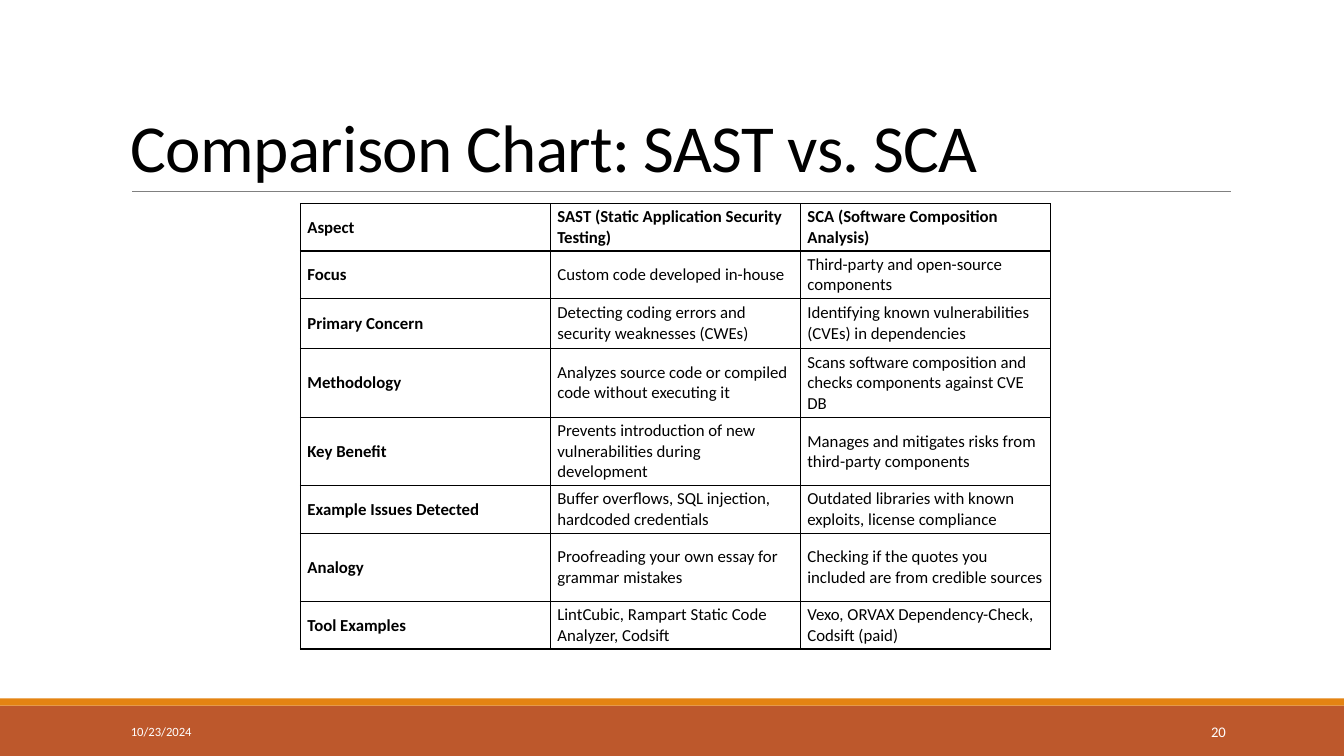
from lxml import etree
from pptx import Presentation
from pptx.dml.color import RGBColor
from pptx.enum.shapes import MSO_CONNECTOR, MSO_SHAPE
from pptx.enum.text import MSO_ANCHOR, PP_ALIGN
from pptx.oxml.ns import qn
from pptx.util import Inches, Pt

RECTANGLE = MSO_SHAPE.RECTANGLE
STRAIGHT = MSO_CONNECTOR.STRAIGHT
MIDDLE, BOTTOM = MSO_ANCHOR.MIDDLE, MSO_ANCHOR.BOTTOM
LEFT, RIGHT = PP_ALIGN.LEFT, PP_ALIGN.RIGHT

BLACK = RGBColor(0x00, 0x00, 0x00)
WHITE = RGBColor(0xFF, 0xFF, 0xFF)
GRAY = RGBColor(0x80, 0x80, 0x80)
RUST = RGBColor(0xBD, 0x58, 0x2C)
ORANGE = RGBColor(0xE4, 0x83, 0x12)

GRID_COLUMNS, GRID_ROWS = 160, 90
BORDER_TAGS = ("a:lnL", "a:lnR", "a:lnT", "a:lnB")

COMPARISON = [
    ("Aspect", "SAST (Static Application Security Testing)",
     "SCA (Software Composition Analysis)"),
    ("Focus", "Custom code developed in-house",
     "Third-party and open-source components"),
    ("Primary Concern", "Detecting coding errors and security weaknesses (CWEs)",
     "Identifying known vulnerabilities (CVEs) in dependencies"),
    ("Methodology", "Analyzes source code or compiled code without executing it",
     "Scans software composition and checks components against CVE DB"),
    ("Key Benefit", "Prevents introduction of new vulnerabilities during development",
     "Manages and mitigates risks from third-party components"),
    ("Example Issues Detected", "Buffer overflows, SQL injection, hardcoded credentials",
     "Outdated libraries with known exploits, license compliance"),
    ("Analogy", "Proofreading your own essay for grammar mistakes",
     "Checking if the quotes you included are from credible sources"),
    ("Tool Examples", "LintCubic, Rampart Static Code Analyzer, Codsift",
     "Vexo, ORVAX Dependency-Check, Codsift (paid)"),
]
TWO_LINES, ROOMY, THREE_LINES = 5.64, 6, 8.16
ROW_HEIGHTS = [TWO_LINES, TWO_LINES, ROOMY, THREE_LINES,
               THREE_LINES, TWO_LINES, THREE_LINES, TWO_LINES]


class SlideBuilder:
    font_name = "Calibri"

    def __init__(self, deck):
        self.slide = deck.slides.add_slide(deck.slide_layouts[6])
        self.shapes = self.slide.shapes
        self.column = deck.slide_width / GRID_COLUMNS
        self.row = deck.slide_height / GRID_ROWS

    def place(self, x, y, width, height):
        return (round(x * self.column), round(y * self.row),
                round(width * self.column), round(height * self.row))

    def style(self, paragraph, size, color, bold=False):
        font = paragraph.font
        font.name, font.size, font.bold = self.font_name, Pt(size), bold
        font.color.rgb = color

    def band(self, y, height, color):
        band = self.shapes.add_shape(RECTANGLE, *self.place(0, y, GRID_COLUMNS, height))
        band.shadow.inherit = False
        band.fill.solid()
        band.fill.fore_color.rgb = color
        band.line.fill.background()

    def rule(self, start, end, y):
        rule = self.shapes.add_connector(STRAIGHT, *self.place(start, y, end, y))
        rule.line.color.rgb = GRAY
        rule.line.width = Pt(0.5)
        etree.SubElement(rule.element.spPr, qn("a:effectLst"))

    def text(self, wording, box, size, color, anchor=MIDDLE, align=LEFT):
        frame = self.shapes.add_textbox(*self.place(*box)).text_frame
        frame.word_wrap = True
        frame.vertical_anchor = anchor
        paragraph = frame.paragraphs[0]
        paragraph.text = wording
        paragraph.alignment = align
        self.style(paragraph, size, color)
        return paragraph

    def title(self, wording, box):
        heading = self.text(wording, box, 48, BLACK, BOTTOM)
        heading.line_spacing = 0.85
        heading.runs[0].font._element.set("spc", "-50")

    def border(self, cell):
        properties = cell._tc.get_or_add_tcPr()
        for position, tag in enumerate(BORDER_TAGS):
            edge = etree.Element(qn(tag), w=str(Pt(1)))
            fill = etree.SubElement(edge, qn("a:solidFill"))
            etree.SubElement(fill, qn("a:srgbClr"), val=str(BLACK))
            properties.insert(position, edge)

    def table(self, rows, x, y, column_width, heights):
        columns = len(rows[0])
        box = self.place(x, y, column_width * columns, sum(heights))
        table = self.shapes.add_table(len(rows), columns, *box).table
        table.first_row = table.horz_banding = False
        for column in table.columns:
            column.width = round(column_width * self.column)
        for r, (wordings, height) in enumerate(zip(rows, heights)):
            table.rows[r].height = round(height * self.row)
            for c, wording in enumerate(wordings):
                cell = table.cell(r, c)
                cell.text = wording
                cell.fill.background()
                cell.vertical_anchor = MIDDLE
                cell.margin_left = cell.margin_right = Inches(0.07)
                cell.margin_top = cell.margin_bottom = Inches(0.03)
                self.style(cell.text_frame.paragraphs[0], 12, BLACK, r == 0 or c == 0)
                self.border(cell)


def main():
    deck = Presentation()
    deck.slide_height = Inches(7.5)
    deck.slide_width = deck.slide_height * 16 // 9
    page = SlideBuilder(deck)
    page.band(84, 6, RUST)
    page.band(83.16, 0.84, ORANGE)
    page.rule(15.72, 146.52, 22.8)
    page.title("Comparison Chart: SAST vs. SCA", (14.4, 3.72, 132, 19.08))
    page.table(COMPARISON, 35.76, 24.24, 29.76, ROW_HEIGHTS)
    page.text("10/23/2024", (14.4, 84.72, 32.4, 4.8), 9, WHITE)
    page.text("20", (129.96, 84.72, 17.16, 4.8), 10.5, WHITE, align=RIGHT)
    deck.save("out.pptx")


if __name__ == "__main__":
    main()
